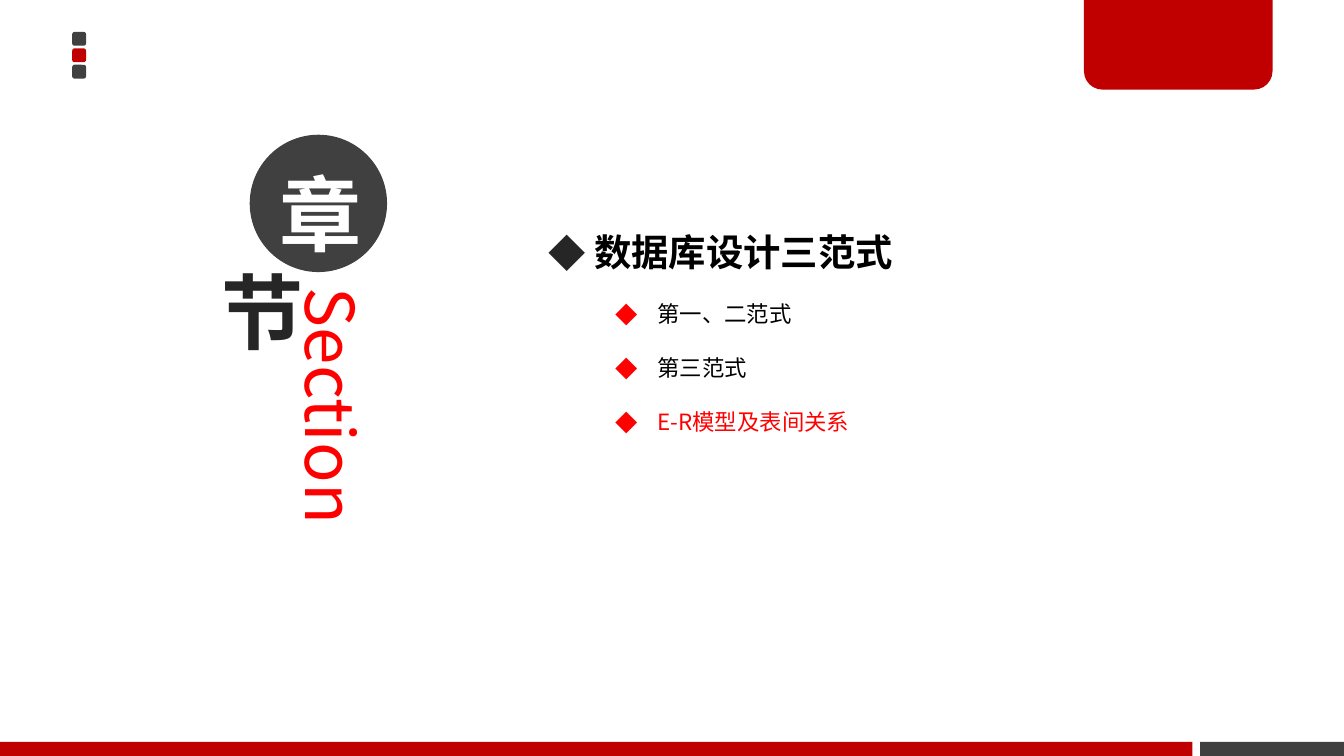
import pptx
import pptx.dml.color
import pptx.enum.shapes
import pptx.enum.text
import pptx.oxml
import pptx.oxml.ns
import pptx.util

Pt = pptx.util.Pt
SHAPES = pptx.enum.shapes.MSO_SHAPE
ANCHOR = pptx.enum.text.MSO_ANCHOR
ALIGN = pptx.enum.text.PP_ALIGN

FONT = "Noto Sans CJK SC"
RED, BRIGHT, GREY, DARK = "C00000", "FF0000", "404040", "262626"
BLACK, WHITE = "000000", "FFFFFF"
WIDTH, HEIGHT = 720, 405

SQUARES = [GREY, RED, GREY]
FOOTER = [(0, 638.8, RED), (643, 77, GREY)]  # left, width, colour
# character, left, top, diameter, fill, text colour, bottom inset, line spacing
CIRCLES = [
    ("章", 133.8, 72.2, 73.6, GREY, WHITE, 10.8, Pt(70)),
    ("节", 105.1, 138.2, 57.6, None, DARK, 3.6, None),
]
# text, level, size, bold, text colour, bullet colour
OUTLINE = [
    (" 数据库设计三范式", 0, 20, True, BLACK, DARK),
    ("第一、二范式", 1, 12, False, BLACK, BRIGHT),
    ("第三范式", 1, 12, False, BLACK, BRIGHT),
    ("E-R模型及表间关系", 1, 12, False, BRIGHT, BRIGHT),
]
INDENTS = [(13.5, -13.5), (58.5, -22.5)]  # margin and first line, by level


def rgb(colour):
    return pptx.dml.color.RGBColor.from_string(colour)


def add_xml(parent, tag, **attributes):
    element = pptx.oxml.parse_xml(f'<a:{tag} {pptx.oxml.ns.nsdecls("a")}/>')
    for name, value in attributes.items():
        element.set(name, value)
    parent.append(element)
    return element


def add_block(page, kind, left, top, width, height, fill):
    block = page.shapes.add_shape(kind, Pt(left), Pt(top), Pt(width), Pt(height))
    block.shadow.inherit = False
    block.line.fill.background()
    if fill:
        block.fill.solid()
        block.fill.fore_color.rgb = rgb(fill)
    else:
        block.fill.background()
    return block


def add_span(para, text, size, colour, bold=False):
    span = para.add_run()
    span.text = text
    span.font.size = Pt(size)
    span.font.bold = bold
    span.font.color.rgb = rgb(colour)
    span.font.name = FONT
    add_xml(span.font._element, "ea", typeface=FONT)


def add_text_box(page, left, top, width, height):
    box = page.shapes.add_textbox(Pt(left), Pt(top), Pt(width), Pt(height))
    box.text_frame.word_wrap = True
    return box.text_frame


def set_insets(frame, bottom=3.6):
    frame.margin_left = frame.margin_right = Pt(5)
    frame.margin_top, frame.margin_bottom = Pt(3), Pt(bottom)


def add_bullet(para, level, colour):
    margin, first_line = INDENTS[level]
    para.level = level
    para.line_spacing = 2.0
    properties = para._p.get_or_add_pPr()
    properties.set("marL", str(Pt(margin)))
    properties.set("indent", str(Pt(first_line)))
    add_xml(add_xml(properties, "buClr"), "srgbClr", val=colour)
    add_xml(properties, "buFont", typeface=FONT)
    add_xml(properties, "buChar", char="◆")


def add_decoration(page):
    for row, colour in enumerate(SQUARES):
        add_block(page, SHAPES.ROUNDED_RECTANGLE, 38.7, 17.1 + row * 8.8, 7.4, 7.4, colour)
    for left, width, colour in FOOTER:
        add_block(page, SHAPES.RECTANGLE, left, 397.5, width, HEIGHT - 397.5, colour)
    tab = add_block(page, SHAPES.ROUND_2_SAME_RECTANGLE, 580.7, -1.2, 101, 49.2, RED)
    tab.adjustments[0], tab.adjustments[1] = 0, 0.2


def add_section_title(page):
    frame = add_text_box(page, 154.1, 151.2, 50.4, 208)
    set_insets(frame)
    frame._txBody.bodyPr.set("vert", "vert")
    add_span(frame.paragraphs[0], "Section", 36, BRIGHT)

    for character, left, top, size, fill, colour, bottom, spacing in CIRCLES:
        circle = add_block(page, SHAPES.OVAL, left, top, size, size, fill)
        frame = circle.text_frame
        frame.word_wrap = True
        frame.vertical_anchor = ANCHOR.MIDDLE
        set_insets(frame, bottom)
        para = frame.paragraphs[0]
        para.alignment = ALIGN.CENTER
        para.line_spacing = spacing
        add_span(para, character, 44, colour, True)


def add_outline(page):
    frame = add_text_box(page, 286.6, 95, 340, 138)
    for index, (text, level, size, bold, colour, bullet) in enumerate(OUTLINE):
        para = frame.add_paragraph() if index else frame.paragraphs[0]
        add_bullet(para, level, bullet)
        add_span(para, text, size, colour, bold)


def main():
    deck = pptx.Presentation()
    deck.slide_width, deck.slide_height = Pt(WIDTH), Pt(HEIGHT)
    page = deck.slides.add_slide(deck.slide_layouts[6])
    add_decoration(page)
    add_section_title(page)
    add_outline(page)
    deck.save("out.pptx")


if __name__ == "__main__":
    main()
